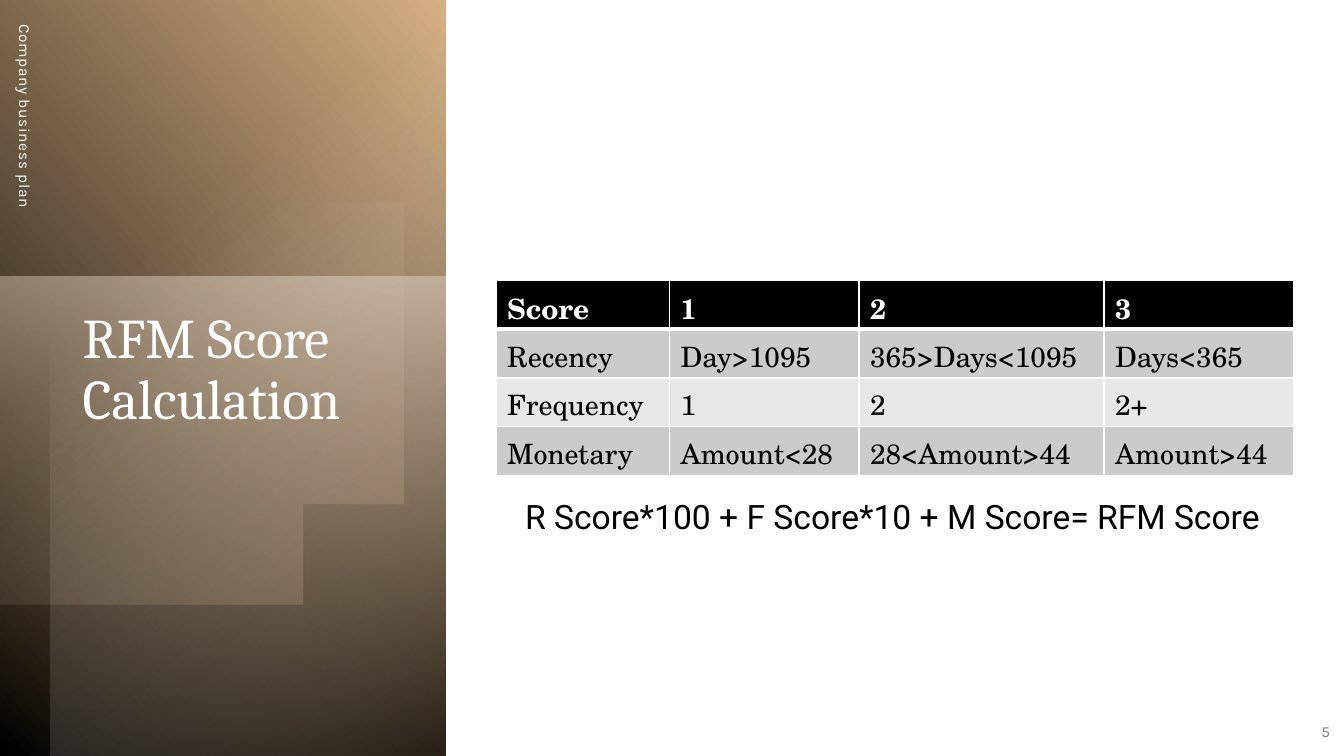
import math
from lxml import etree
from pptx import Presentation, util as u
from pptx.dml.color import RGBColor
from pptx.enum import shapes, text
from pptx.oxml.ns import qn

BLACK = RGBColor(0x00, 0x00, 0x00)
WHITE = RGBColor(0xFF, 0xFF, 0xFF)
GREY = RGBColor(0x80, 0x80, 0x80)
BAND_DARK = RGBColor(0xCB, 0xCB, 0xCB)
BAND_LIGHT = RGBColor(0xE7, 0xE7, 0xE7)
TAN = RGBColor(0xD5, 0xAF, 0x82)
CREAM = RGBColor(0xF2, 0xE6, 0xD8)
PALE = RGBColor(0xF7, 0xF0, 0xE8)
BROWN = RGBColor(0xAC, 0x77, 0x39)

W, H = 13.33, 7.5
SCORES = [
    ["Score", "1", "2", "3"],
    ["Recency", "Day>1095", "365>Days<1095", "Days<365"],
    ["Frequency", "1", "2", "2+"],
    ["Monetary", "Amount<28", "28<Amount>44", "Amount>44"],
]
COLUMNS = [1.72, 1.88, 2.43, 1.88]
ROW_FILLS = [BLACK, BAND_DARK, BAND_LIGHT, BAND_DARK]


def inches(*lengths):
    return [u.Inches(v) for v in lengths]


def sub(parent, tag, **attrs):
    return etree.SubElement(parent, qn(tag), {k: str(v) for k, v in attrs.items()})


def solid(parent, color, opacity=100):
    clr = sub(parent, "a:srgbClr", val=color)
    if opacity < 100:
        sub(clr, "a:alpha", val=opacity * 1000)


def fade(sp, angle, stops):
    sp.shadow.inherit = False
    sp.line.fill.background()
    sp.fill.gradient()
    grad = sp.fill._xPr.find(qn("a:gradFill"))
    for child in list(grad):
        grad.remove(child)
    gs_list = sub(grad, "a:gsLst")
    for pos, color, opacity in stops:
        solid(sub(gs_list, "a:gs", pos=pos * 1000), color, opacity)
    sub(grad, "a:lin", ang=int(angle * 60000), scaled=0)


def add_panel(s, box, angle, stops):
    sp = s.shapes.add_shape(shapes.MSO_SHAPE.RECTANGLE, *inches(*box))
    fade(sp, angle, stops)


def add_cut_disc(s, left, cx, cy, radius, angle, stops):
    half = math.acos((left - cx) / radius)
    steps = 120
    turns = [-half + 2 * half * i / steps for i in range(steps + 1)]
    points = [(cx + radius * math.cos(t), cy + radius * math.sin(t)) for t in turns]
    fb = s.shapes.build_freeform(*points[0], scale=u.Inches(1))
    fb.add_line_segments(points[1:], close=True)
    fade(fb.convert_to_shape(), angle, stops)


def add_run(p, words, size, font, color, bold=False):
    r = p.add_run()
    r.text = words
    r.font.size = u.Pt(size)
    r.font.name = font
    r.font.bold = bold
    r.font.color.rgb = color
    return r


def add_label(s, box, words, size, font, color, middle=False):
    sp = s.shapes.add_textbox(*inches(*box))
    tf = sp.text_frame
    tf.word_wrap = True
    tf.vertical_anchor = text.MSO_ANCHOR.MIDDLE if middle else text.MSO_ANCHOR.TOP
    p = tf.paragraphs[0]
    return sp, p, add_run(p, words, size, font, color)


def add_side(s, x, y, w, h):
    add_panel(s, (x, y, w, h), 320, [(0, BLACK, 100), (100, TAN, 100)])
    top = 2.74
    add_panel(s, (x, y + top, w, h - top), 100, [(0, CREAM, 50), (100, BROWN, 0)])
    inset = 0.5
    add_panel(s, (x + inset, y, w - inset, h), 230, [(0, BLACK, 59), (69, CREAM, 0)])
    add_cut_disc(s, x, x + 1.43, y + 3.46, 2.62, 51.6, [(39, PALE, 0), (100, TAN, 26)])
    _, p, _ = add_label(s, (x + 0.72, y + 3.03, 3.15, 3.36),
                        "RFM Score Calculation", 40, "Cambria", WHITE)
    p.line_spacing = 0.9
    sp, _, r = add_label(s, (x - 2, y + 2.19, 4.5, 0.4),
                         "Company business plan", 11, "Karla", WHITE, middle=True)
    sp.rotation = 90
    r.font._element.set("spc", "50")


def set_borders(cell, **widths):
    tc_pr = cell._tc.get_or_add_tcPr()
    for i, side in enumerate("LRTB"):
        ln = etree.Element(qn(f"a:ln{side}"), w=str(u.Pt(widths.get(side, 1))))
        solid(sub(ln, "a:solidFill"), WHITE)
        tc_pr.insert(i, ln)


def add_scores(s, x, y, w, h):
    frame = s.shapes.add_table(len(SCORES), len(COLUMNS), *inches(x, y, w, h))
    table = frame.table
    for column, width in zip(table.columns, COLUMNS):
        column.width = u.Inches(width)
    for i, (row, fill) in enumerate(zip(SCORES, ROW_FILLS)):
        head = i == 0
        for j, words in enumerate(row):
            cell = table.cell(i, j)
            cell.fill.solid()
            cell.fill.fore_color.rgb = fill
            cell.margin_left = cell.margin_right = u.Inches(0.11)
            cell.margin_top = cell.margin_bottom = u.Inches(0.06)
            set_borders(cell, T=3 if i == 1 else 1, B=3 if head else 1)
            add_run(cell.text_frame.paragraphs[0], words, 20, "TeX Gyre Schola",
                    WHITE if head else BLACK, head)


def add_content(s, x, y, w, h):
    add_scores(s, x + 0.5, y + 2.78, sum(COLUMNS), 1.94)
    add_label(s, (x + 0.69, y + 4.87, 7.58, 0.5),
              "R Score*100 + F Score*10 + M Score= RFM Score", 24, "Roboto", BLACK)
    _, p, _ = add_label(s, (x + w - 0.53, y + h - 0.44, 0.49, 0.4),
                        "5", 11, "Karla", GREY, middle=True)
    p.alignment = text.PP_ALIGN.RIGHT


def main():
    prs = Presentation()
    prs.slide_width, prs.slide_height = inches(W, H)
    s = prs.slides.add_slide(prs.slide_layouts[6])
    side = 4.42
    add_side(s, 0, 0, side, H)
    add_content(s, side, 0, W - side, H)
    prs.save("out.pptx")


if __name__ == "__main__":
    main()
